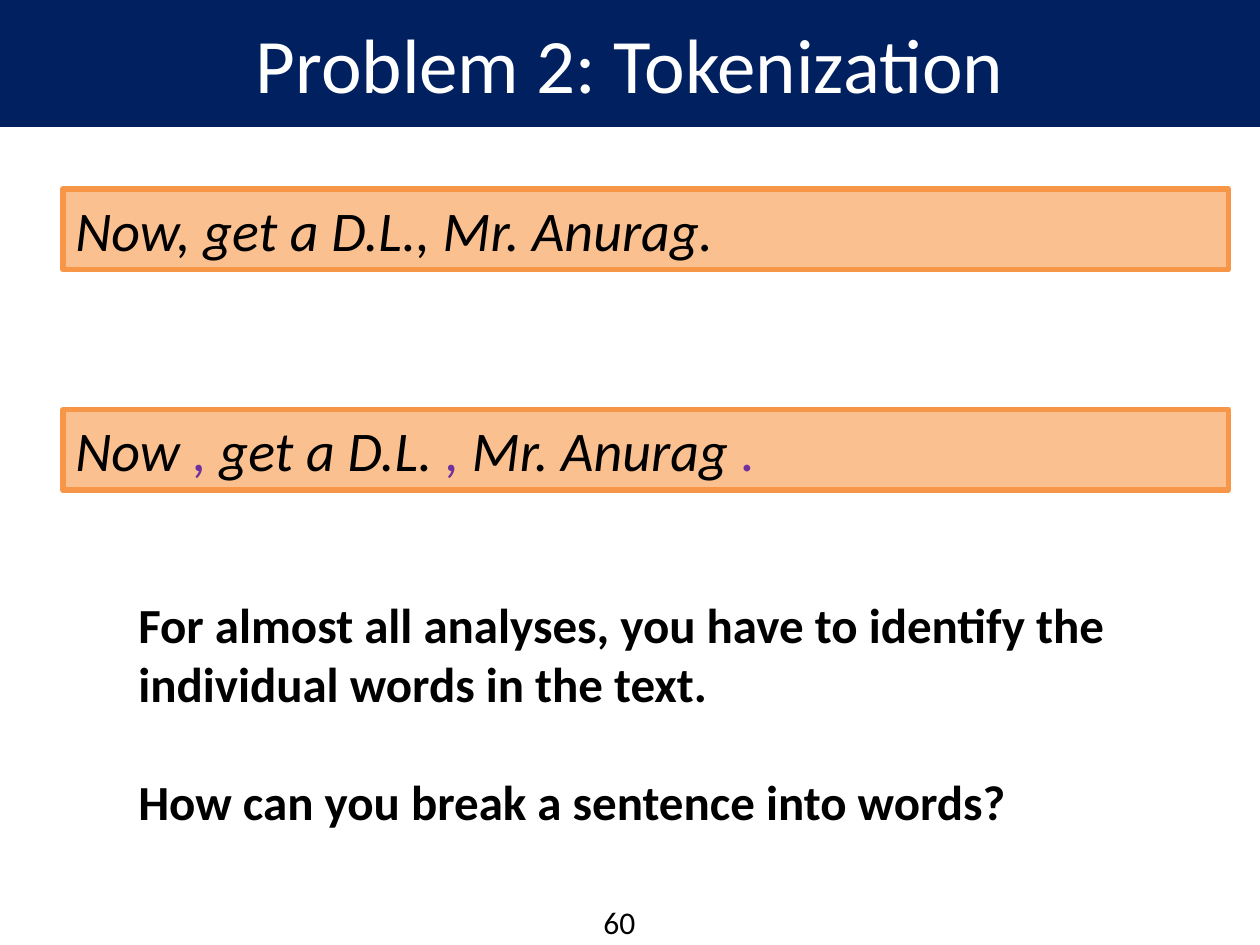
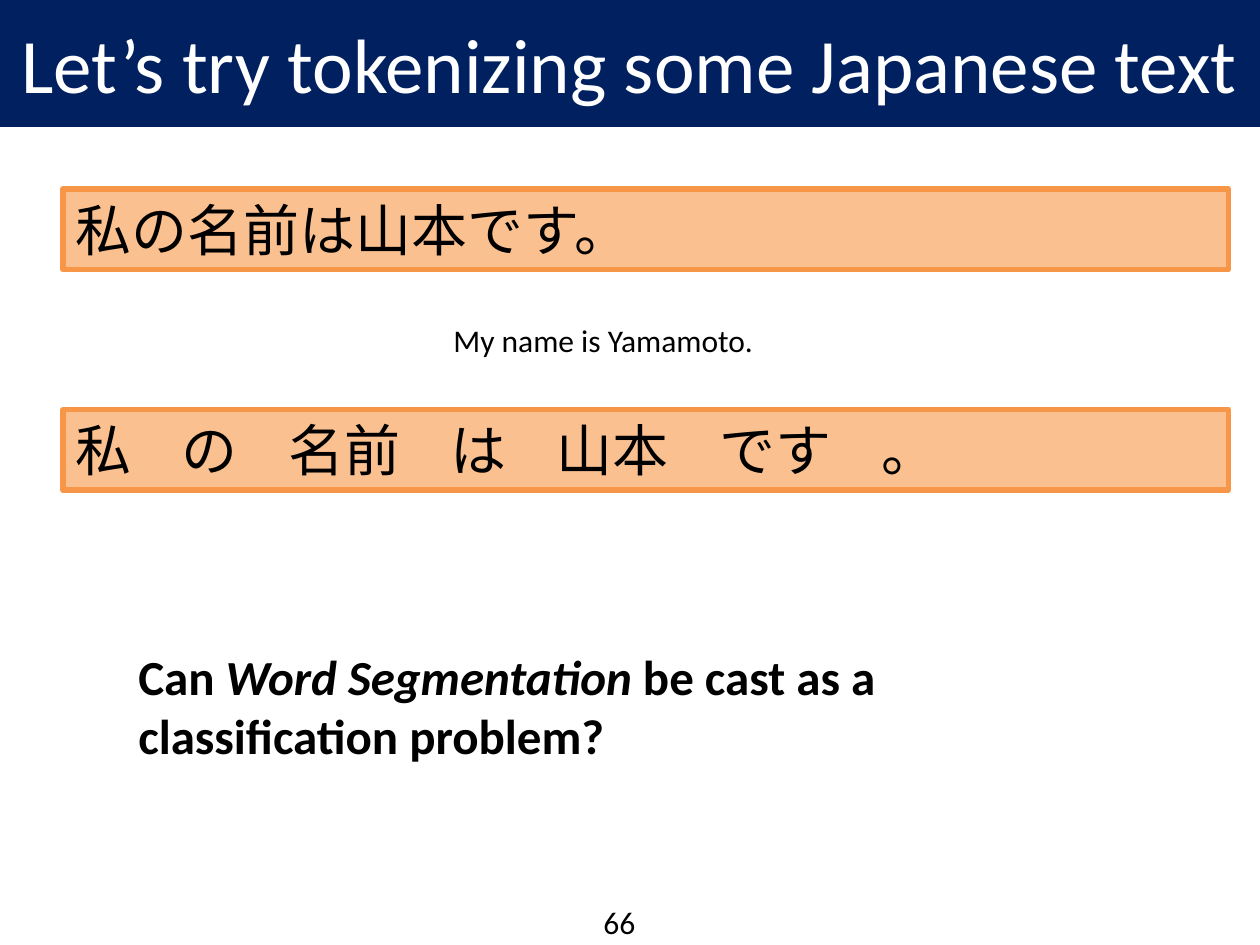
from dataclasses import dataclass

from lxml import etree
from pptx import Presentation
from pptx.dml.color import RGBColor
from pptx.enum.shapes import MSO_SHAPE
from pptx.enum.text import MSO_ANCHOR, MSO_AUTO_SIZE, PP_ALIGN
from pptx.oxml.ns import qn
from pptx.shapes.autoshape import Shape
from pptx.slide import Slide
from pptx.util import Inches, Pt

RECT = MSO_SHAPE.RECTANGLE
TOP, MIDDLE = MSO_ANCHOR.TOP, MSO_ANCHOR.MIDDLE
LEFT, CENTER = PP_ALIGN.LEFT, PP_ALIGN.CENTER
GROW = MSO_AUTO_SIZE.SHAPE_TO_FIT_TEXT

FONT = "Calibri"
NAVY, PEACH, ORANGE = "002060", "FAC090", "F79646"
BLACK, WHITE, PURPLE = "000000", "FFFFFF", "7030A0"
INSET = 0.1
WORD_SIZE = 32
WORD_GAP = 0.4


@dataclass
class Bit:
    text: str
    hue: str = ""
    slant: bool = False


@dataclass
class Style:
    size: int
    hue: str = BLACK
    bold: bool = False
    slant: bool = False
    align: PP_ALIGN = LEFT
    gap: int = 0


@dataclass
class Area:
    left: float
    top: float
    width: float
    height: float


@dataclass
class Page:
    title: str
    number: str
    before: list[Bit]
    after: list[Bit]
    slant: bool
    prompt: list[list[Bit]]
    place: Area
    stops: list[float]
    gloss: str = ""


def color(code: str) -> RGBColor:
    return RGBColor.from_string(code)


def write(shape: Shape, lines: list[list[Bit]], style: Style, stops: list[float] = []) -> None:
    frame = shape.text_frame
    for index, bits in enumerate(lines):
        line = frame.add_paragraph() if index else frame.paragraphs[0]
        line.alignment = style.align
        if index:
            line.space_before = Pt(style.gap)
        if stops:
            tabs = etree.SubElement(line._p.get_or_add_pPr(), qn("a:tabLst"))
            for stop in stops:
                etree.SubElement(tabs, qn("a:tab"), pos=str(Inches(stop)), algn="l")
        font = line.font
        font.name, font.size = FONT, Pt(style.size)
        font.bold, font.italic = style.bold, style.slant
        font.color.rgb = color(style.hue)
        for bit in bits:
            run = line.add_run()
            run.text = bit.text
            if bit.hue:
                run.font.color.rgb = color(bit.hue)
            if bit.slant:
                run.font.italic = True


def add_box(slide: Slide, area: Area, fill: str, edge: str, weight: float) -> Shape:
    box = slide.shapes.add_shape(RECT, Inches(area.left), Inches(area.top),
                                 Inches(area.width), Inches(area.height))
    box.shadow.inherit = False
    box.fill.solid()
    box.fill.fore_color.rgb = color(fill)
    box.line.color.rgb = color(edge)
    box.line.width = Pt(weight)
    return box


def add_text(slide: Slide, area: Area, lines: list[list[Bit]], style: Style,
             wrap: bool = True, inset: float = INSET) -> None:
    box = slide.shapes.add_textbox(Inches(area.left), Inches(area.top),
                                   Inches(area.width), Inches(area.height))
    frame = box.text_frame
    frame.word_wrap = wrap
    frame.auto_size = GROW
    frame.margin_left = Inches(inset)
    write(box, lines, style)


def add_title(slide: Slide, title: str) -> None:
    band = add_box(slide, Area(0, 0, 10, 1), NAVY, NAVY, 0.75)
    band.text_frame.vertical_anchor = MIDDLE
    write(band, [[Bit(title)]], Style(44, WHITE, align=CENTER))


def add_sample(slide: Slide, top: float, bits: list[Bit], slant: bool,
               stops: list[float]) -> None:
    bar = add_box(slide, Area(0.5, top, 9.25, 0.64), PEACH, ORANGE, 3)
    bar.text_frame.vertical_anchor = TOP
    bar.text_frame.auto_size = GROW
    write(bar, [bits], Style(WORD_SIZE, slant=slant), stops)


def find_stops(words: list[str]) -> list[float]:
    stops, edge = [], 0.0
    for word in words[:-1]:
        edge += len(word) * WORD_SIZE / 72 + WORD_GAP
        stops.append(round(edge, 2))
    return stops


def add_page(deck: Presentation, page: Page) -> None:
    slide = deck.slides.add_slide(deck.slide_layouts[6])
    add_text(slide, Area(4.58, 7.12, 0.83, 0.4), [[Bit(page.number)]], Style(18), inset=0.21)
    add_title(slide, page.title)
    add_sample(slide, 1.5, page.before, page.slant, [])
    add_sample(slide, 3.25, page.after, page.slant, page.stops)
    add_text(slide, page.place, page.prompt, Style(28, bold=True, gap=34))
    if page.gloss:
        add_text(slide, Area(3.5, 2.5, 2.61, 0.4), [[Bit(page.gloss)]], Style(18), wrap=False)


def main() -> None:
    deck = Presentation()
    deck.slide_width, deck.slide_height = Inches(10), Inches(7.5)
    words = ["私", "の", "名前", "は", "山本", "です", "。"]
    pages = [
        Page("Problem 2: Tokenization", "60",
             [Bit("Now, get a D.L., Mr. Anurag.")],
             [Bit("Now "), Bit(",", PURPLE), Bit(" get a D.L. "), Bit(", ", PURPLE),
              Bit("Mr. Anurag "), Bit(".", PURPLE)],
             True,
             [[Bit("For almost all analyses, you have to identify the individual words "
                   "in the text.")],
              [Bit("How can you break a sentence into words?")]],
             Area(1, 4.67, 7.96, 1.99), []),
        Page("Let’s try tokenizing some Japanese text", "66",
             [Bit("私の名前は山本です。")],
             [Bit("\t".join(words))],
             False,
             [[Bit("Can "), Bit("Word Segmentation ", slant=True),
               Bit("be cast as a classification problem?")]],
             Area(1, 5.08, 7.96, 1.04), find_stops(words),
             "My name is Yamamoto."),
    ]
    for page in pages:
        add_page(deck, page)
    deck.save("out.pptx")


if __name__ == "__main__":
    main()
